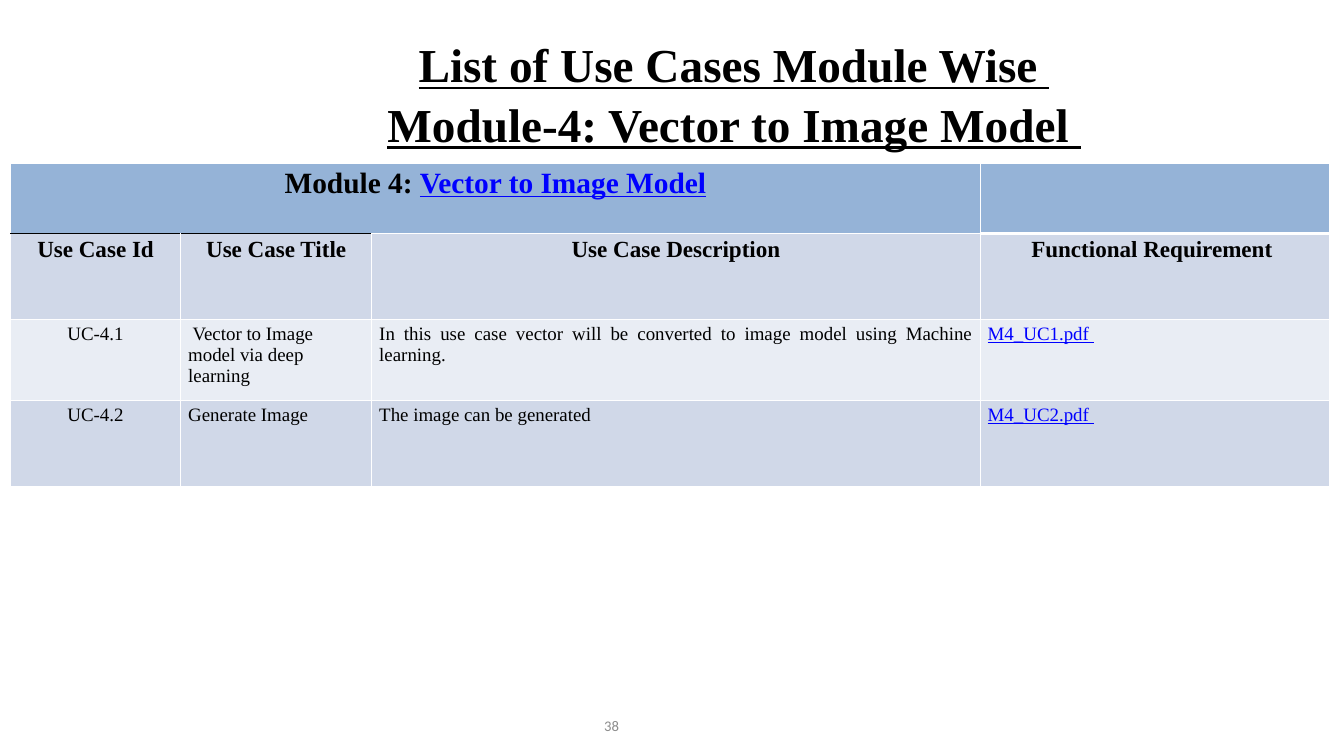
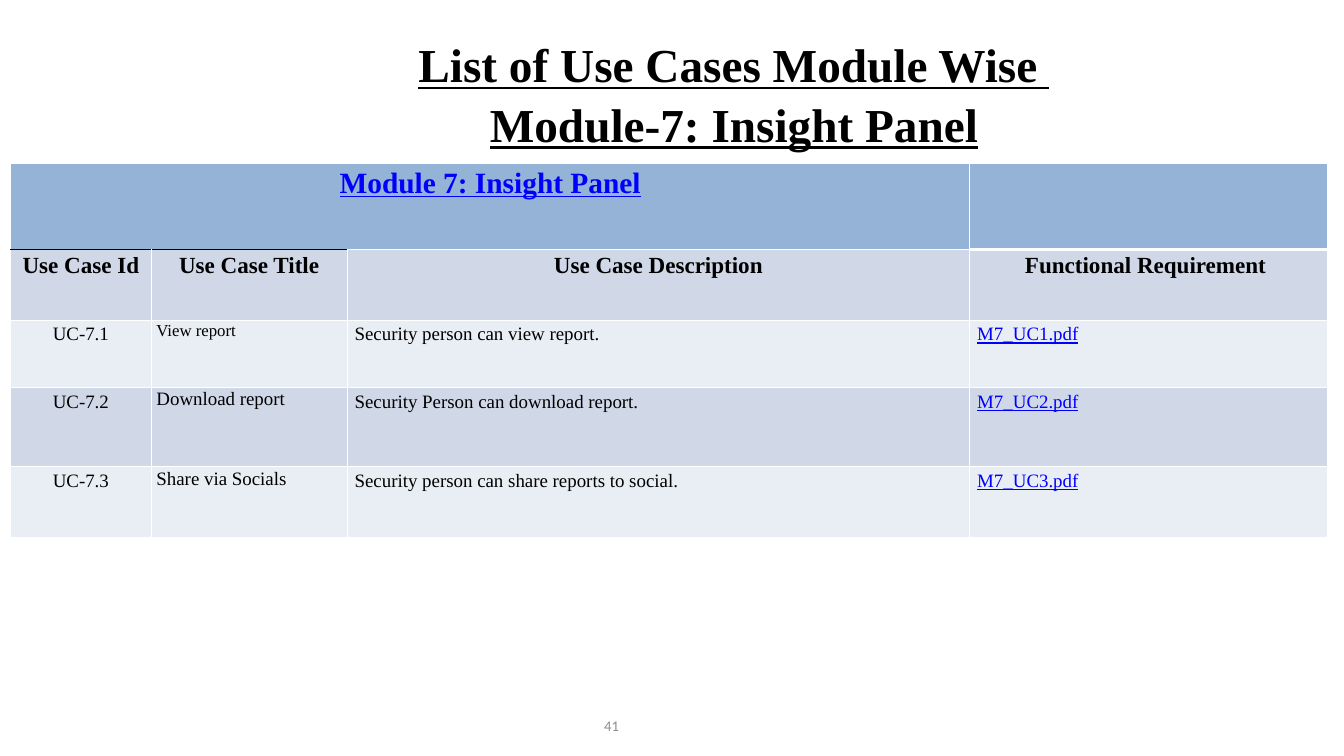
from lxml.etree import SubElement
from pptx import Presentation
from pptx.dml.color import RGBColor
from pptx.enum.text import MSO_ANCHOR, PP_ALIGN
from pptx.oxml.ns import qn
from pptx.util import Pt

COLOURS = {
    "text": "000000", "link": "0000FF", "muted": "8C8C8C", "border": "FFFFFF",
    "header": "95B3D7", "band_dark": "D0D8E8", "band_light": "E9EDF4",
}
SERIF = "Times New Roman"
PLAIN = {"name": SERIF, "size": Pt(18), "bold": False, "underline": False, "color": "text"}
LINK = PLAIN | {"underline": True, "color": "link"}
HEADING = PLAIN | {"size": Pt(22), "bold": True}
MODULE = HEADING | {"size": Pt(28)}
MODULE_LINK = MODULE | {"underline": True, "color": "link"}
TITLE = PLAIN | {"size": Pt(45), "bold": True, "underline": True}
PAGE_NUMBER = PLAIN | {"name": "Calibri", "size": Pt(14), "color": "muted"}

LEFT = {"alignment": PP_ALIGN.LEFT}
CENTER = {"alignment": PP_ALIGN.CENTER}
JUSTIFY = {"alignment": PP_ALIGN.JUSTIFY}
RIGHT = {"alignment": PP_ALIGN.RIGHT}
COLUMN_TITLES = ["Use Case Id", "Use Case Title", "Use Case Description",
                 "Functional Requirement "]
TIGHT_MARGINS = {"margin_left": Pt(5), "margin_right": Pt(5),
                 "margin_top": Pt(0), "margin_bottom": Pt(0)}


def set_attributes(target, values):
    for name, value in values.items():
        setattr(target, name, value)


class UseCaseDeck:
    """Holds the shared style and the slide being built."""

    def __init__(self):
        self.presentation = Presentation()
        set_attributes(self.presentation,
                       {"slide_width": Pt(1280), "slide_height": Pt(720)})
        self.slide = None

    def add_slide(self):
        self.slide = self.presentation.slides.add_slide(self.presentation.slide_layouts[6])

    def fill_paragraph(self, paragraph, runs, layout):
        set_attributes(paragraph, layout)
        for text, style in runs:
            for index, line in enumerate(text.split("\n")):
                if index:
                    paragraph.add_line_break()
                run = paragraph.add_run()
                run.text = line
                set_attributes(run.font, {k: v for k, v in style.items() if k != "color"})
                run.font.color.rgb = RGBColor.from_string(COLOURS[style["color"]])

    def add_text(self, box, text, style, layout, frame_values):
        frame = self.slide.shapes.add_textbox(*map(Pt, box)).text_frame
        set_attributes(frame, {"word_wrap": True, "margin_left": Pt(8),
                               "margin_right": Pt(8), "margin_bottom": Pt(4)} | frame_values)
        self.fill_paragraph(frame.paragraphs[0], [(text, style)], layout)

    def add_title(self, text, left, width):
        self.add_text((left, 24, width, 90), text, TITLE,
                      CENTER | {"line_spacing": 1.05}, {"margin_top": Pt(7)})

    def add_page_number(self, number):
        self.add_text((544.5, 672, 53, 38), str(number), PAGE_NUMBER, RIGHT,
                      {"margin_top": Pt(4), "vertical_anchor": MSO_ANCHOR.MIDDLE})

    def format_cell(self, cell, fill, **special_borders):
        """Draws white one-point borders, except for the sides given, then the fill."""
        properties = cell._tc.get_or_add_tcPr()
        for side in "LRTB":
            colour, width = special_borders.get(side, ("border", 1))
            line = SubElement(properties, qn(f"a:ln{side}"), w=str(Pt(width)))
            solid = SubElement(line, qn("a:solidFill"))
            SubElement(solid, qn("a:srgbClr"), val=COLOURS[colour])
        cell.fill.solid()
        cell.fill.fore_color.rgb = RGBColor.from_string(COLOURS[fill])

    def add_use_case_table(self, widths, heights, module_runs, use_cases,
                           title_layouts, title_sizes, title_margins):
        frame = self.slide.shapes.add_table(
            len(heights), len(widths), Pt(10), Pt(155.5), Pt(sum(widths)), Pt(sum(heights)))
        table = frame.table
        set_attributes(table, {"first_row": False, "horz_banding": False})
        for column, width in zip(table.columns, widths):
            column.width = Pt(width)
        for row, height in zip(table.rows, heights):
            row.height = Pt(height)

        # Module row
        for index in range(4):
            bottom = ("border", 3) if index == 3 else ("text" if index < 2 else "border", 1)
            self.format_cell(table.cell(0, index), "header", B=bottom)
        table.cell(0, 0).merge(table.cell(0, 2))
        self.fill_paragraph(table.cell(0, 0).text_frame.paragraphs[0], module_runs, CENTER)

        # Column titles
        for index, text in enumerate(COLUMN_TITLES):
            cell = table.cell(1, index)
            top = ("text", 1) if index < 2 else ("border", 3 if index == 3 else 1)
            self.format_cell(cell, "band_dark", T=top)
            self.fill_paragraph(cell.text_frame.paragraphs[0], [(text, HEADING)], CENTER)

        # Use cases
        for row, values in enumerate(use_cases, start=2):
            title_style = PLAIN | {"size": Pt(title_sizes[row - 2])}
            styles = [PLAIN, title_style, PLAIN, LINK]
            layouts = [CENTER, title_layouts[row - 2], JUSTIFY, JUSTIFY]
            for index, (text, style, layout) in enumerate(zip(values, styles, layouts)):
                cell = table.cell(row, index)
                self.format_cell(cell, "band_dark" if row % 2 else "band_light")
                if index == 1:
                    set_attributes(cell, title_margins)
                self.fill_paragraph(cell.text_frame.paragraphs[0], [(text, style)], layout)


def main():
    deck = UseCaseDeck()

    # Module 4
    deck.add_slide()
    deck.add_page_number(38)
    deck.add_title("List of Use Cases Module Wise \nModule-4: Vector to Image Model ", 212, 974)
    deck.add_use_case_table(
        [162, 182, 579.5, 332.5], [67, 82, 77, 82],
        [("Module 4: ", MODULE), ("Vector to Image Model", MODULE_LINK)],
        [["UC-4.1", " Vector to Image model via deep learning",
          "In this use case vector will be converted to image model using Machine learning. ",
          "M4_UC1.pdf "],
         ["UC-4.2", "Generate Image", "The image can be generated", "M4_UC2.pdf "]],
        [LEFT, LEFT], [18, 18], {})

    # Module 7
    deck.add_slide()
    deck.add_page_number(41)
    deck.add_title("List of Use Cases Module Wise \nModule-7: Insight Panel", 163, 1072)
    spaced = LEFT | {"line_spacing": 1.07}
    deck.add_use_case_table(
        [134, 186.5, 593, 340.5], [82, 67.5, 64, 75.5, 67.5],
        [("Module 7: Insight Panel", MODULE_LINK)],
        [["UC-7.1", "View report", "Security person can view report.", "M7_UC1.pdf"],
         ["UC-7.2", "Download report", "Security Person can download report.", "M7_UC2.pdf"],
         ["UC-7.3", "Share via Socials", "Security person can share reports to social.",
          "M7_UC3.pdf"]],
        [spaced | {"space_after": Pt(8)}, spaced, spaced], [16, 18, 18], TIGHT_MARGINS)

    deck.presentation.save("out.pptx")


if __name__ == "__main__":
    main()
